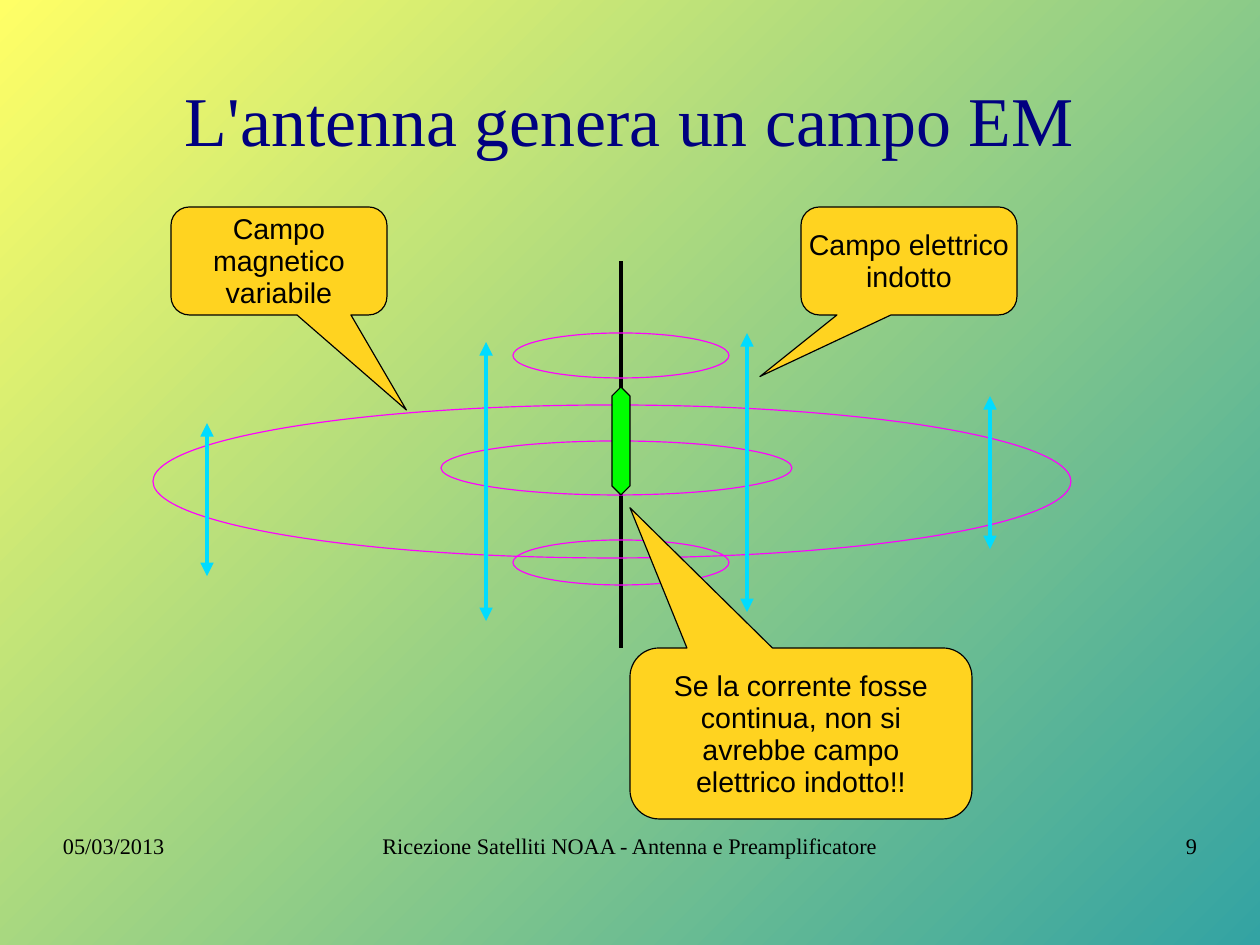
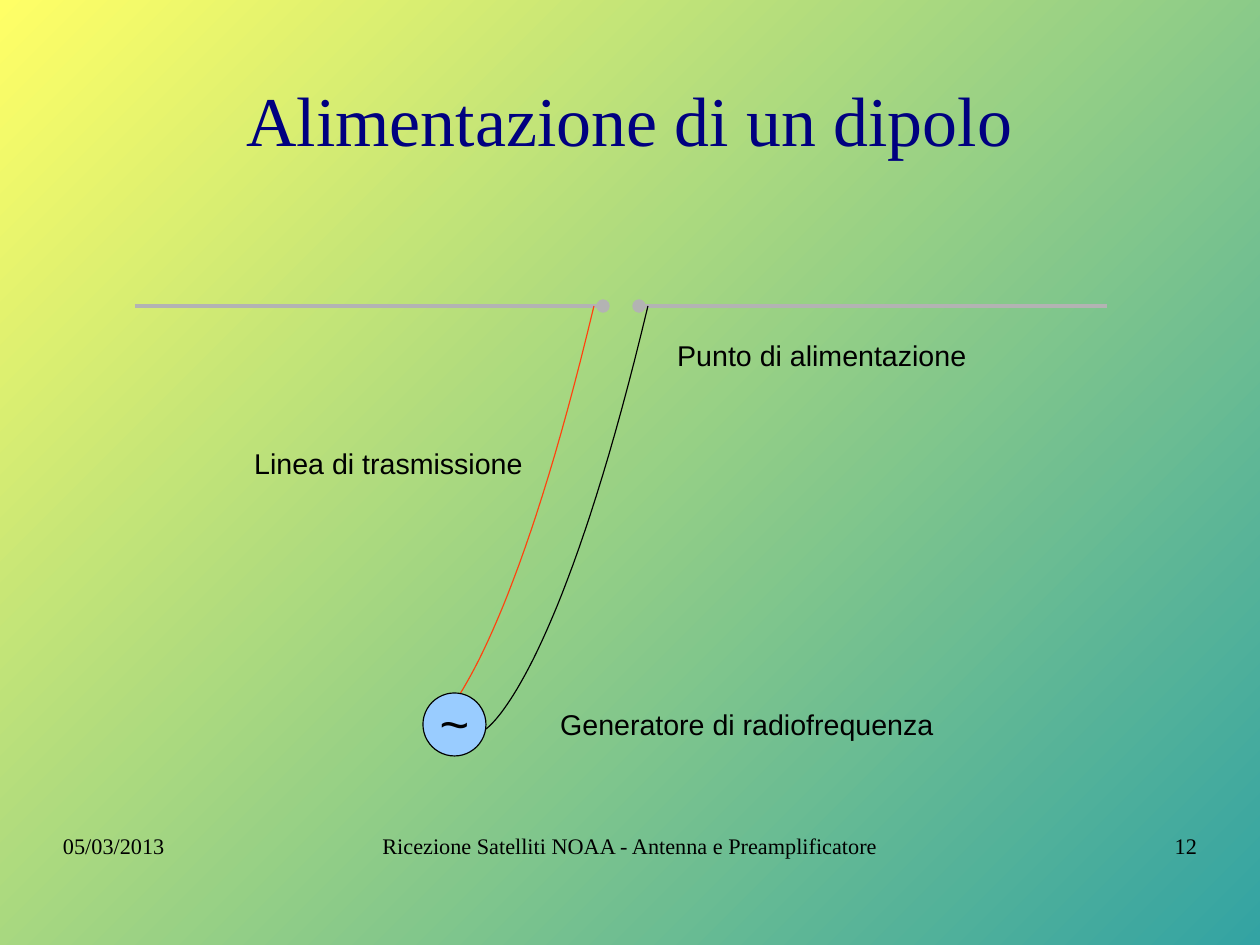
import dataclasses

import lxml.etree
import pptx
import pptx.dml.color
import pptx.enum.shapes
import pptx.enum.text
import pptx.oxml.ns
import pptx.util

RGB = pptx.dml.color.RGBColor
YELLOW = RGB(0xFF, 0xFF, 0x66)
TEAL = RGB(0x33, 0xA3, 0xA3)
NAVY = RGB(0x00, 0x00, 0x80)
BLACK = RGB(0x00, 0x00, 0x00)
PINK = RGB(0xFF, 0x00, 0xFF)
CYAN = RGB(0x00, 0xDC, 0xFF)
GREEN = RGB(0x00, 0xFF, 0x00)
GOLD = RGB(0xFF, 0xD3, 0x20)
GREY = RGB(0xB3, 0xB3, 0xB3)
RED = RGB(0xFF, 0x42, 0x0E)
SKY = RGB(0x99, 0xCC, 0xFF)

SERIF, SANS = "Times New Roman", "Arial"
THIN, THICK = 0.75, 2.83
COLS, ROWS = 28, 21
CELL = pptx.util.Cm(1)
INSET = (0.1, 0.07, 0.1, 0.05)

SHAPE = pptx.enum.shapes.MSO_SHAPE
ALIGN = pptx.enum.text.PP_ALIGN
ANCHOR = pptx.enum.text.MSO_ANCHOR


@dataclasses.dataclass
class Box:
    """A region measured in cells of the slide grid."""
    col: float
    row: float
    wide: float
    high: float

    def inner(self, col, row, wide, high):
        """Return a box placed relative to this one."""
        return Box(self.col + col, self.row + row, wide, high)

    def point(self, col, row):
        """Return the EMU position of a grid point in this box."""
        return round((self.col + col) * CELL), round((self.row + row) * CELL)

    def frame(self):
        """Return left, top, width and height in EMU."""
        return *self.point(0, 0), round(self.wide * CELL), round(self.high * CELL)


PAGE = Box(0, 0, COLS, ROWS)
HEAD = PAGE.inner(1.4, 0.94, 25.2, 3.5)
FOOT = PAGE.inner(1.4, 18.54, 25.2, 1.45)


def write(shape, text, size, font, color=BLACK, align=ALIGN.CENTER,
          anchor=ANCHOR.MIDDLE, inset=INSET, wrap=True):
    """Fill a shape with text in one style."""
    frame = shape.text_frame
    frame.text = text
    frame.word_wrap = wrap
    frame.auto_size = pptx.enum.text.MSO_AUTO_SIZE.NONE
    frame.vertical_anchor = anchor
    (frame.margin_left, frame.margin_top, frame.margin_right,
     frame.margin_bottom) = map(pptx.util.Inches, inset)
    for para in frame.paragraphs:
        para.alignment = align
        para.line_spacing = 0.93
        for run in para.runs:
            run.font.size = pptx.util.Pt(size)
            run.font.name = font
            run.font.color.rgb = color


def label(slide, box, text, size=18, font=SANS, align=ALIGN.LEFT, inset=INSET):
    """Add a plain text box."""
    write(slide.shapes.add_textbox(*box.frame()), text, size, font,
          align=align, anchor=ANCHOR.TOP, inset=inset)


def paint(shape, fill, edge):
    """Set fill and thin outline and drop the shadow."""
    shape.shadow.inherit = False
    if fill is None:
        shape.fill.background()
    else:
        shape.fill.solid()
        shape.fill.fore_color.rgb = fill
    shape.line.color.rgb = edge
    shape.line.width = pptx.util.Pt(THIN)


def form(slide, kind, box, fill=None, edge=BLACK, adjust=()):
    """Add a preset shape."""
    shape = slide.shapes.add_shape(kind, *box.frame())
    for index, value in enumerate(adjust):
        shape.adjustments[index] = value
    paint(shape, fill, edge)
    return shape


def rule(slide, start, end, color, head=None, tail=None):
    """Add a thick straight line with optional end marks."""
    line = slide.shapes.add_connector(
        pptx.enum.shapes.MSO_CONNECTOR.STRAIGHT, *start, *end)
    line.line.color.rgb = color
    line.line.width = pptx.util.Pt(THICK)
    qn = pptx.oxml.ns.qn
    props = line._element.spPr
    for tag, mark in (("a:headEnd", head), ("a:tailEnd", tail)):
        if mark:
            lxml.etree.SubElement(props.find(qn("a:ln")), qn(tag), type=mark)
    lxml.etree.SubElement(props, qn("a:effectLst"))


def wire(slide, box, start, bend, end, color, steps=40):
    """Add a curve from start to end, pulled towards bend."""
    def spot(t):
        a, b, c = (1 - t) ** 3, 3 * t * (1 - t) ** 2, t * t * (3 - 2 * t)
        return box.point(*(a * s + b * m + c * e
                           for s, m, e in zip(start, bend, end)))

    curve = slide.shapes.build_freeform(*spot(0), scale=1.0)
    curve.add_line_segments([spot(i / steps) for i in range(1, steps + 1)],
                            close=False)
    paint(curve.convert_to_shape(), None, color)


def field(slide, box):
    """Draw the antenna with its magnetic and electric fields."""
    rule(slide, box.point(10.8, 1.8), box.point(10.8, 10.4), BLACK)
    for ring in ((8.4, 8, 4.8, 1), (6.8, 5.8, 7.8, 1.2),
                 (8.4, 3.4, 4.8, 1), (0.4, 5, 20.4, 3.4)):
        form(slide, SHAPE.OVAL, box.inner(*ring), edge=PINK)
    form(slide, SHAPE.UP_DOWN_ARROW, box.inner(10.6, 4.6, 0.4, 2.4), GREEN,
         adjust=(0.5, 1.19))
    for col, top, high in ((13.6, 3.4, 6.2), (19, 4.8, 3.4),
                           (1.6, 5.4, 3.4), (7.8, 3.6, 6.2)):
        rule(slide, box.point(col, top), box.point(col, top + high), CYAN,
             "triangle", "triangle")
    notes = (
        ("Campo elettrico\nindotto", (14.8, 0.6, 4.8, 2.4), (-0.69, 1.07), False),
        ("Se la corrente fosse continua, non si avrebbe campo elettrico indotto!!",
         (11, 10.4, 7.6, 3.8), (-0.5, -1.32), True),
        ("Campo magnetico variabile", (0.8, 0.6, 4.8, 2.4), (0.59, 1.38), True),
    )
    for text, place, tip, wrap in notes:
        note = form(slide, SHAPE.ROUNDED_RECTANGULAR_CALLOUT, box.inner(*place),
                    GOLD, adjust=(*tip, 0.17))
        write(note, text, 18, SANS, wrap=wrap)


def feed(slide, box):
    """Draw the dipole, its transmission line and the generator."""
    rule(slide, box.point(0, 0.8), box.point(10.4, 0.8), GREY, tail="oval")
    rule(slide, box.point(11.2, 0.8), box.point(21.6, 0.8), GREY, head="oval")
    for shift, color in ((0, RED), (1.2, BLACK)):
        wire(slide, box, (10.2 + shift, 0.8), (8.2 + shift, 9.2),
             (6.6 + shift, 10.2), color)
    source = form(slide, SHAPE.OVAL, box.inner(6.4, 9.4, 1.4, 1.4), SKY)
    write(source, "~", 32, SANS, wrap=False)
    for text, col, row, wide in (("Generatore di radiofrequenza", 9.2, 9.6, 9.6),
                                 ("Linea di trasmissione", 2.4, 3.8, 7.8),
                                 ("Punto di alimentazione", 11.8, 1.4, 8.8)):
        label(slide, box.inner(col, row, wide, 0.96), text)


def footer(slide, box, number):
    """Add date, talk title and page number across the box."""
    side = 6.53
    cells = (
        (0, side, "05/03/2013", ALIGN.LEFT),
        (side, box.wide - 2 * side,
         "Ricezione Satelliti NOAA - Antenna e Preamplificatore", ALIGN.CENTER),
        (box.wide - side, side, number, ALIGN.RIGHT),
    )
    for col, wide, text, align in cells:
        label(slide, box.inner(col, 0, wide, box.high), text, 14, SERIF, align,
              (0, 0, 0, 0))


def theme(deck):
    """Set page size, background and title place; return the layout."""
    deck.slide_width, deck.slide_height = COLS * CELL, ROWS * CELL
    fill = deck.slide_master.background.fill
    fill.gradient()
    fill.gradient_angle = 315
    for stop, color, place in zip(fill.gradient_stops, (YELLOW, TEAL), (0, 1)):
        stop.color.rgb = color
        stop.position = place
    layout = deck.slide_layouts[5]
    title = layout.placeholders[0]
    title.left, title.top, title.width, title.height = HEAD.frame()
    return layout


def main():
    """Build and save the deck."""
    deck = pptx.Presentation()
    layout = theme(deck)
    pages = (
        ("L'antenna genera un campo EM", "9", field, PAGE.inner(3, 4, 21, 15)),
        ("Alimentazione di un dipolo", "12", feed, PAGE.inner(3, 6, 22, 12)),
    )
    for title, number, draw, box in pages:
        slide = deck.slides.add_slide(layout)
        write(slide.shapes.title, title, 44, SERIF, NAVY, inset=(0, 0.04, 0, 0))
        draw(slide, box)
        footer(slide, FOOT, number)
    deck.save("out.pptx")


if __name__ == "__main__":
    main()
